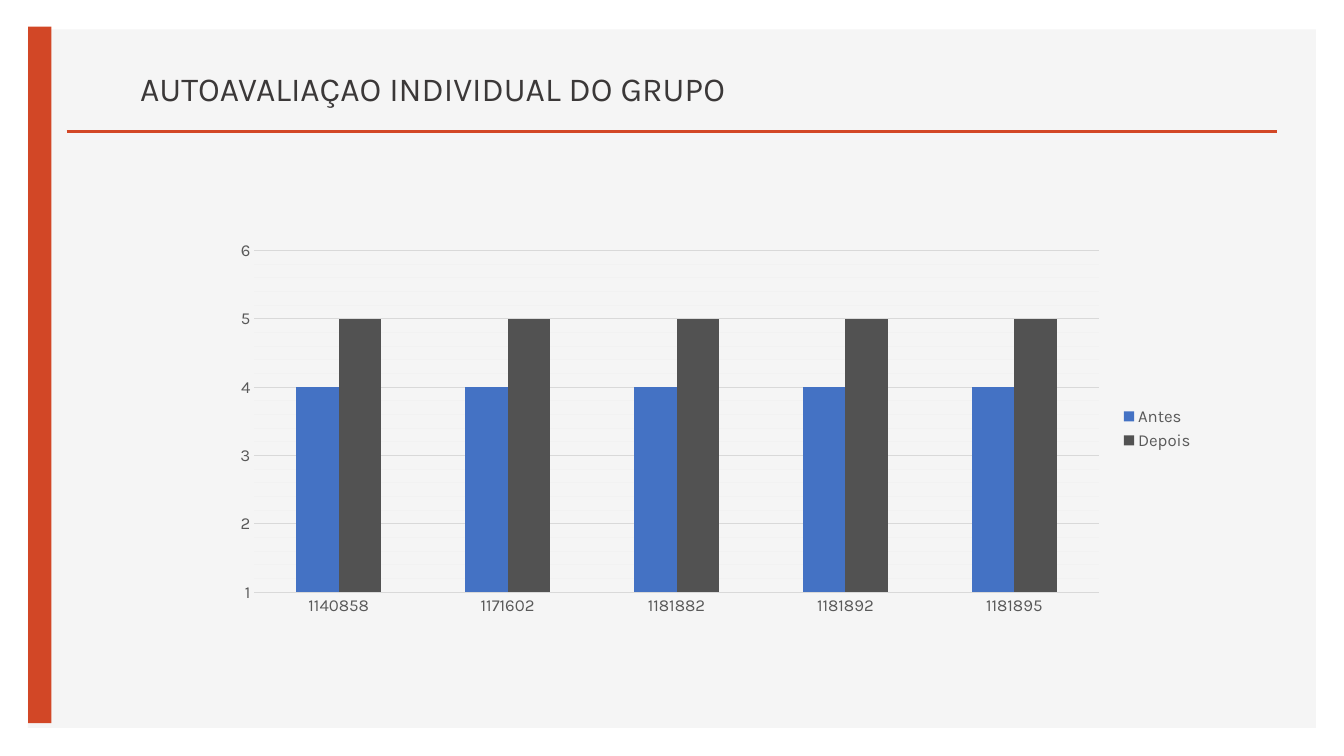
from dataclasses import dataclass

from lxml.etree import SubElement
from pptx import Presentation
from pptx.chart.data import CategoryChartData
from pptx.dml.color import RGBColor
from pptx.enum.chart import XL_CHART_TYPE, XL_LEGEND_POSITION, XL_TICK_MARK
from pptx.enum.shapes import MSO_CONNECTOR, MSO_SHAPE
from pptx.enum.text import MSO_ANCHOR
from pptx.oxml.ns import qn
from pptx.util import Pt


@dataclass(frozen=True)
class Theme:
    """Colours, font and type sizes of the slide."""

    panel: str = "F5F5F5"
    accent: str = "D24726"
    title: str = "3B3838"
    label: str = "595959"
    grid: str = "D9D9D9"
    minor_grid: str = "F2F2F2"
    before: str = "4472C4"
    after: str = "525252"
    font: str = "Karla"
    title_size: int = 24
    label_size: int = 12


THEME = Theme()
STUDENTS = ("1140858", "1171602", "1181882", "1181892", "1181895")
SCORES = (
    ("Antes", (4, 4, 4, 4, 4), THEME.before),
    ("Depois", (5, 5, 5, 5, 5), THEME.after),
)


def style_font(font, size, color):
    """Apply the theme typeface with a size and colour."""
    font.name = THEME.font
    font.size = Pt(size)
    font.color.rgb = RGBColor.from_string(color)


def style_line(line, color, width):
    """Set the colour and width of a line."""
    line.color.rgb = RGBColor.from_string(color)
    line.width = Pt(width)


def add_block(slide, left, top, width, height, color):
    """Add a plain filled rectangle."""
    shape = slide.shapes.add_shape(
        MSO_SHAPE.RECTANGLE, Pt(left), Pt(top), Pt(width), Pt(height)
    )
    shape.shadow.inherit = False
    shape.fill.solid()
    shape.fill.fore_color.rgb = RGBColor.from_string(color)
    shape.line.fill.background()


def add_rule(slide, left, right, height):
    """Add the horizontal rule below the title."""
    connector = slide.shapes.add_connector(
        MSO_CONNECTOR.STRAIGHT, Pt(left), Pt(height), Pt(right), Pt(height)
    )
    style_line(connector.line, THEME.accent, 2)
    SubElement(connector._element.spPr, qn("a:effectLst"))


def add_title(slide, text, left, top, width, height):
    """Add the slide title, centred vertically in its box."""
    box = slide.shapes.add_textbox(Pt(left), Pt(top), Pt(width), Pt(height))
    frame = box.text_frame
    frame.word_wrap = True
    frame.vertical_anchor = MSO_ANCHOR.MIDDLE
    paragraph = frame.paragraphs[0]
    paragraph.line_spacing = 0.9
    run = paragraph.add_run()
    run.text = text
    style_font(run.font, THEME.title_size, THEME.title)


def add_minor_gridlines(axis, color, width):
    """Show minor gridlines in a colour and width."""
    axis.has_minor_gridlines = True
    gridlines = axis._element.find(qn("c:minorGridlines"))
    properties = SubElement(gridlines, qn("c:spPr"))
    line = SubElement(properties, qn("a:ln"), w=str(Pt(width)))
    fill = SubElement(line, qn("a:solidFill"))
    SubElement(fill, qn("a:srgbClr"), val=color)


def style_axes(chart):
    """Format both axes and the gridlines."""
    for axis in (chart.category_axis, chart.value_axis):
        axis.major_tick_mark = XL_TICK_MARK.NONE
        axis.minor_tick_mark = XL_TICK_MARK.NONE
        style_font(axis.tick_labels.font, THEME.label_size, THEME.label)
    style_line(chart.category_axis.format.line, THEME.grid, 0.75)
    values = chart.value_axis
    values.format.line.fill.background()
    values.minimum_scale = 1
    values.maximum_scale = 6
    values.major_unit = 1
    values.minor_unit = 0.2
    style_line(values.major_gridlines.format.line, THEME.grid, 0.75)
    add_minor_gridlines(values, THEME.minor_grid, 0.75)


def add_score_chart(slide, left, top, width, height):
    """Add the clustered columns of scores per student."""
    data = CategoryChartData()
    data.categories = STUDENTS
    for name, values, _ in SCORES:
        data.add_series(name, values)
    chart = slide.shapes.add_chart(
        XL_CHART_TYPE.COLUMN_CLUSTERED,
        Pt(left), Pt(top), Pt(width), Pt(height), data,
    ).chart
    style_font(chart.font, THEME.label_size, THEME.label)
    chart.has_title = False
    chart.has_legend = True
    chart.legend.position = XL_LEGEND_POSITION.RIGHT
    chart.legend.include_in_layout = False
    style_font(chart.legend.font, THEME.label_size, THEME.label)
    style_axes(chart)
    plot = chart.plots[0]
    plot.vary_by_categories = False
    plot.gap_width = 199
    plot.overlap = 0
    for series, (_, _, color) in zip(plot.series, SCORES):
        series.format.fill.solid()
        series.format.fill.fore_color.rgb = RGBColor.from_string(color)


def main():
    """Build and save the slide."""
    presentation = Presentation()
    presentation.slide_width = Pt(960)
    presentation.slide_height = Pt(540)
    slide = presentation.slides.add_slide(presentation.slide_layouts[6])
    add_block(slide, 20, 21, 920, 499, THEME.panel)
    add_rule(slide, 47.7, 912, 94)
    add_title(slide, "AUTOAVALIAÇAO INDIVIDUAL DO GRUPO", 93, 35.5, 819, 59)
    add_block(slide, 20, 19, 16.7, 497.5, THEME.accent)
    add_score_chart(slide, 157.7, 166.3, 702.7, 279.4)
    presentation.save("out.pptx")


if __name__ == "__main__":
    main()
